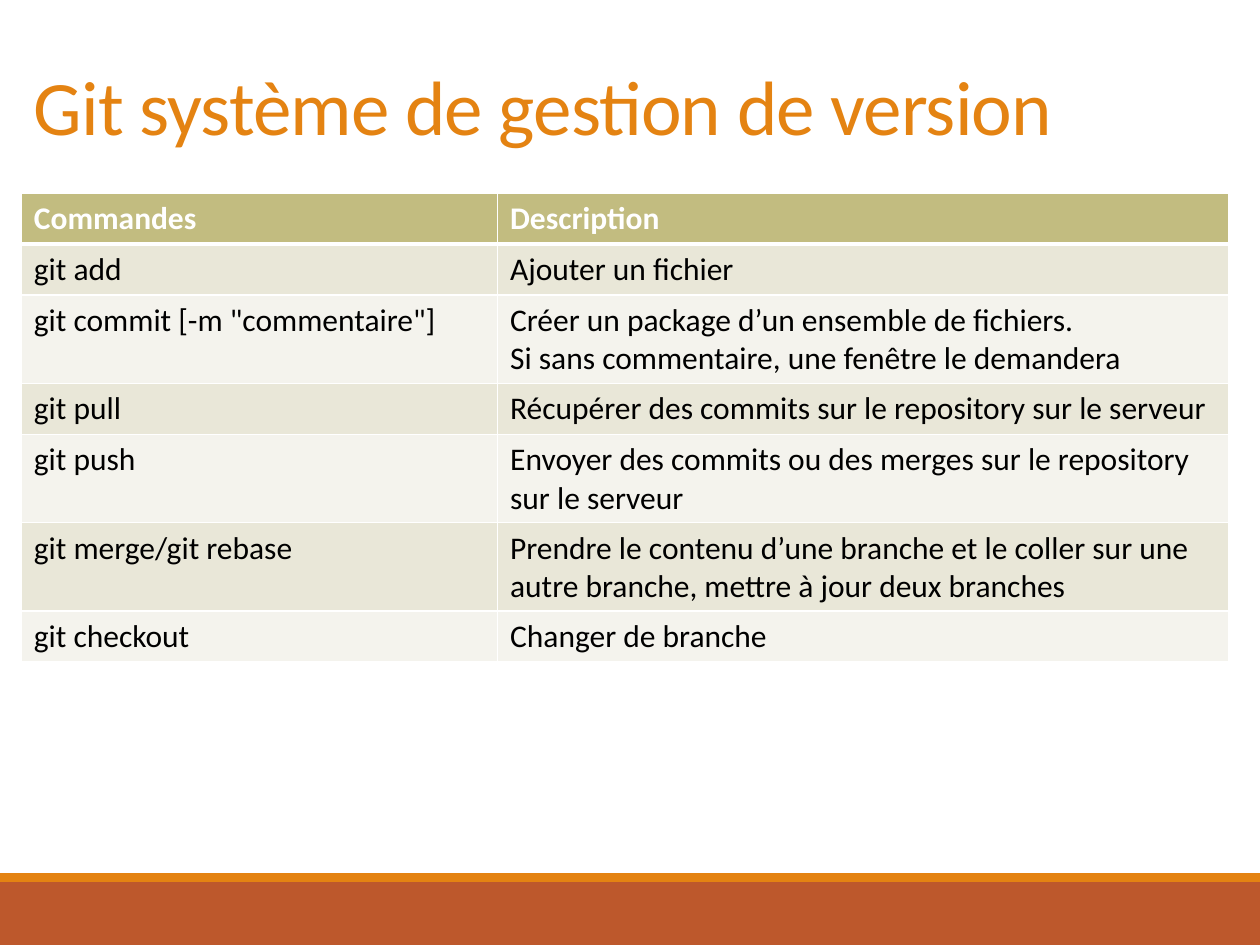
from lxml.etree import SubElement
from pptx import Presentation
from pptx.dml.color import RGBColor
from pptx.enum.shapes import MSO_SHAPE
from pptx.enum.text import MSO_ANCHOR
from pptx.oxml.ns import qn
from pptx.util import Cm, Pt

TITLE = "Git système de gestion de version"
ROWS = [
    ("Commandes", ["Description"]),
    ("git add", ["Ajouter un fichier"]),
    ('git commit [-m "commentaire"]', [
        "Créer un package d’un ensemble de fichiers.",
        "Si sans commentaire, une fenêtre le demandera",
    ]),
    ("git pull", ["Récupérer des commits sur le repository sur le serveur"]),
    ("git push", ["Envoyer des commits ou des merges sur le repository sur le serveur"]),
    ("git merge/git rebase", [
        "Prendre le contenu d’une branche et le coller sur une autre branche, "
        "mettre à jour deux branches",
    ]),
    ("git checkout", ["Changer de branche"]),
]

FONT = "Calibri"
WHITE = RGBColor(0xFF, 0xFF, 0xFF)
BLACK = RGBColor(0x00, 0x00, 0x00)
ORANGE = RGBColor(0xE4, 0x83, 0x12)
RUST = RGBColor(0xBD, 0x58, 0x2C)
HEADER_FILL = RGBColor(0xC2, 0xBC, 0x80)
BAND_FILLS = (RGBColor(0xF4, 0xF3, 0xED), RGBColor(0xE9, 0xE7, 0xD8))

SLIDE_WIDTH, SLIDE_HEIGHT = Cm(25.4), Cm(19.05)
LEFT = Cm(0.43)
COLUMN_WIDTHS = (Cm(9.6), Cm(14.73))
ROW_HEIGHT = Cm(1.03)
# Footer bands: top, height, colour
FOOTER_BANDS = [(Cm(17.78), Cm(1.27), RUST), (Cm(17.6), Cm(0.18), ORANGE)]


def add_run(paragraph, text, size, color, bold=False):
    run = paragraph.add_run()
    run.text = text
    run.font.name = FONT
    run.font.size = Pt(size)
    run.font.bold = bold
    run.font.color.rgb = color
    return run


def add_footer(slide):
    for top, height, color in FOOTER_BANDS:
        band = slide.shapes.add_shape(MSO_SHAPE.RECTANGLE, 0, top, SLIDE_WIDTH, height)
        band.shadow.inherit = False
        band.fill.solid()
        band.fill.fore_color.rgb = color
        band.line.fill.background()


def add_title(slide):
    title = slide.shapes.add_textbox(LEFT, Cm(1.7), Cm(21.6), Cm(1.47))
    frame = title.text_frame
    frame.word_wrap = True
    frame.vertical_anchor = MSO_ANCHOR.BOTTOM
    paragraph = frame.paragraphs[0]
    paragraph.line_spacing = 0.85
    run = add_run(paragraph, TITLE, 44, ORANGE)
    run.font._element.set("spc", "-50")


def set_borders(cell, bottom_width, top_width):
    """Draw white borders, which must precede the fill in the cell properties."""
    properties = cell._tc.get_or_add_tcPr()
    widths = {"a:lnL": 1, "a:lnR": 1, "a:lnT": top_width, "a:lnB": bottom_width}
    for tag, width in widths.items():
        line = SubElement(properties, qn(tag), w=str(Pt(width)))
        fill = SubElement(line, qn("a:solidFill"))
        SubElement(fill, qn("a:srgbClr"), val=str(WHITE))


def fill_cell(cell, lines, row_index):
    is_header = row_index == 0
    set_borders(cell, 3 if is_header else 1, 3 if row_index == 1 else 1)
    cell.fill.solid()
    cell.fill.fore_color.rgb = HEADER_FILL if is_header else BAND_FILLS[row_index % 2]
    frame = cell.text_frame
    for index, line in enumerate(lines):
        paragraph = frame.add_paragraph() if index else frame.paragraphs[0]
        add_run(paragraph, line, 18, WHITE if is_header else BLACK, is_header)


def add_commands_table(slide):
    table = slide.shapes.add_table(
        len(ROWS), len(COLUMN_WIDTHS), LEFT, Cm(3.89),
        sum(COLUMN_WIDTHS), ROW_HEIGHT * len(ROWS),
    ).table
    for column, width in zip(table.columns, COLUMN_WIDTHS):
        column.width = width
    for row_index, (command, description) in enumerate(ROWS):
        table.rows[row_index].height = ROW_HEIGHT
        fill_cell(table.cell(row_index, 0), [command], row_index)
        fill_cell(table.cell(row_index, 1), description, row_index)


def main():
    presentation = Presentation()
    presentation.slide_width = SLIDE_WIDTH
    presentation.slide_height = SLIDE_HEIGHT
    slide = presentation.slides.add_slide(presentation.slide_layouts[6])
    add_footer(slide)
    add_title(slide)
    add_commands_table(slide)
    presentation.save("out.pptx")


if __name__ == "__main__":
    main()
